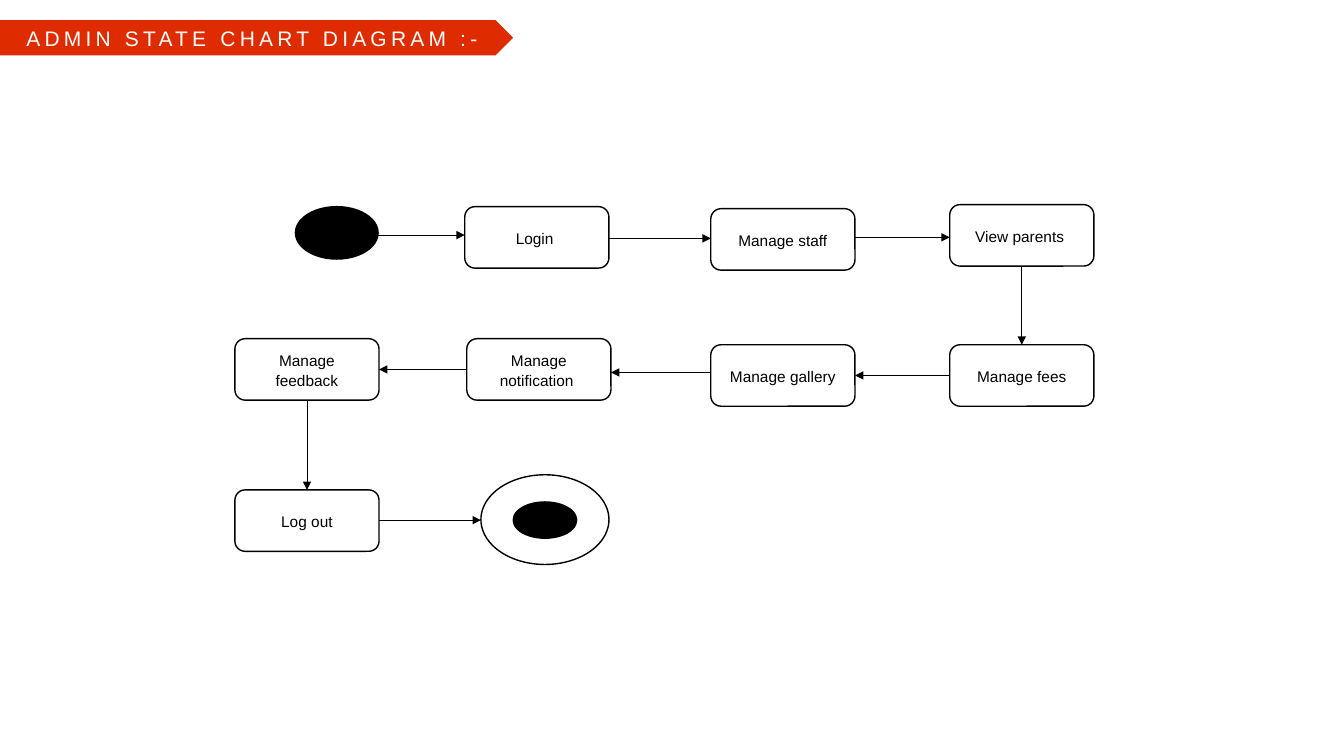
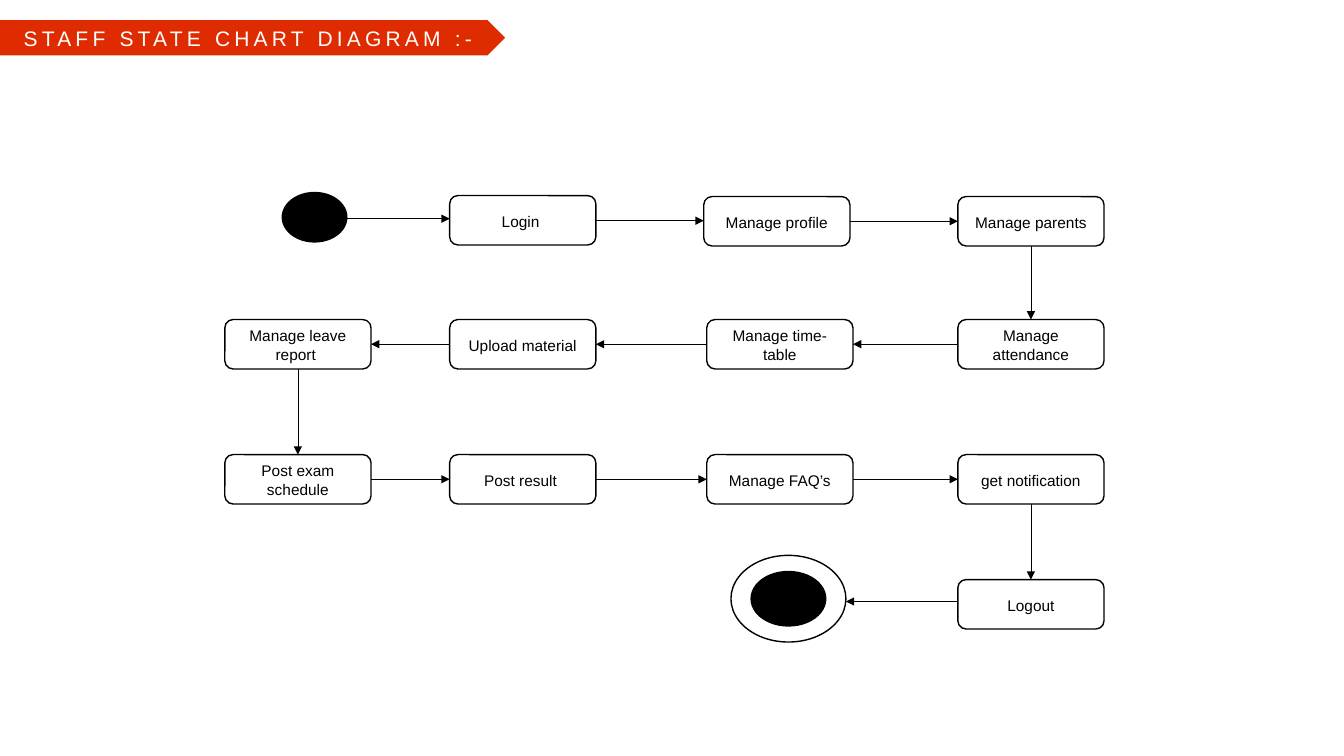
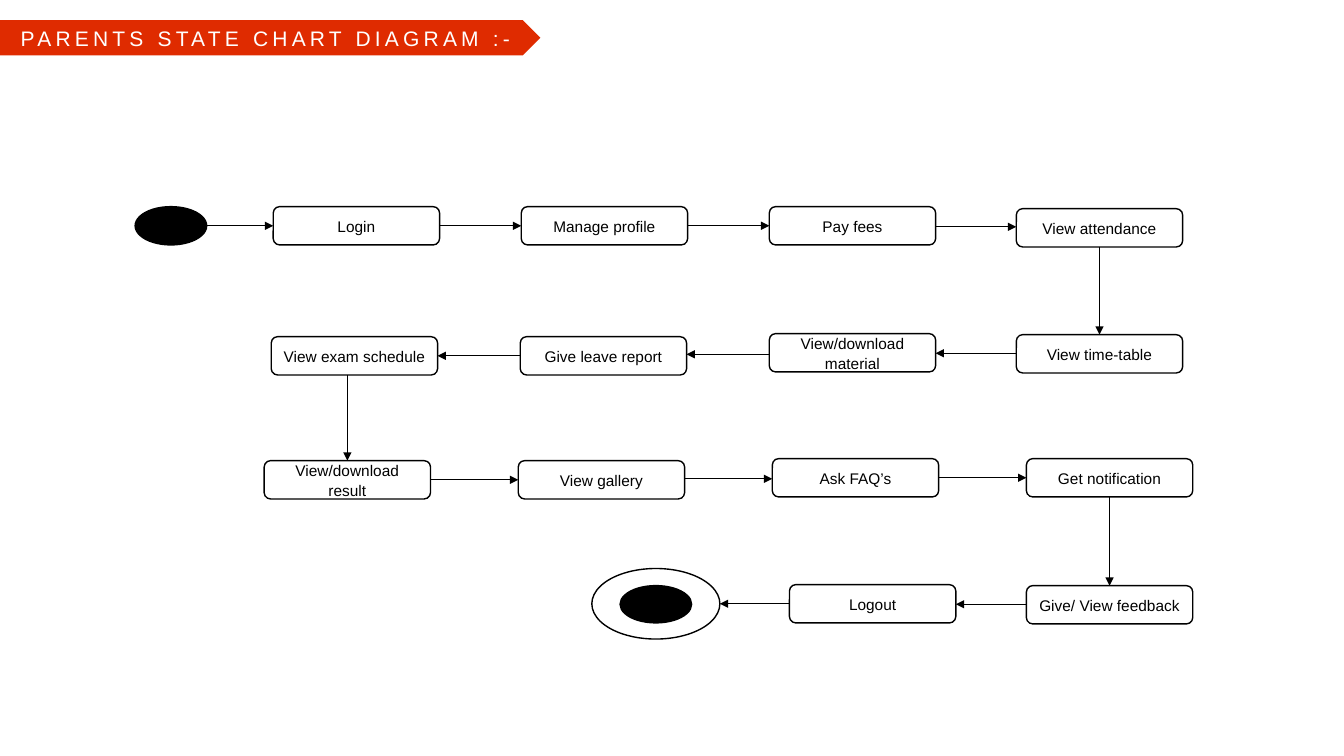
from lxml import etree
from pptx import Presentation
from pptx.dml.color import RGBColor
from pptx.enum import shapes, text
from pptx.oxml import ns
from pptx.util import Inches, Pt

BLACK = RGBColor(0x00, 0x00, 0x00)
WHITE = RGBColor(0xFF, 0xFF, 0xFF)
RED = RGBColor(0xDF, 0x2B, 0x00)
FONT = "Arial"
ROW_TOLERANCE = 0.3

DIAGRAMS = [
    {
        "title": "ADMIN STATE CHART DIAGRAM :-",
        "banner_width": 5.09,
        "state_size": (1.43, 0.61),
        "start": (2.93, 2.05, 0.82, 0.52),
        "states": [
            ("Login ", 4.61, 2.05),
            ("Manage staff", 7.05, 2.07),
            ("View parents ", 9.42, 2.03),
            ("Manage fees", 9.42, 3.42),
            ("Manage gallery", 7.05, 3.42),
            ("Manage notification ", 4.63, 3.36),
            ("Manage feedback", 2.33, 3.36),
            ("Log out", 2.33, 4.86),
        ],
        "end_ring": (4.77, 4.71, 1.27, 0.89),
        "end_dot": (5.09, 4.98, 0.63, 0.36),
    },
    {
        "title": "STAFF STATE CHART DIAGRAM :-",
        "banner_width": 5.01,
        "state_size": (1.45, 0.49),
        "start": (2.8, 1.91, 0.64, 0.49),
        "states": [
            ("Login ", 4.46, 1.94),
            ("Manage profile", 6.98, 1.95),
            ("Manage parents", 9.5, 1.95),
            ("Manage attendance", 9.5, 3.17),
            ("Manage time-table", 7.01, 3.17),
            ("Upload material", 4.46, 3.17),
            ("Manage leave report ", 2.23, 3.17),
            ("Post exam schedule", 2.23, 4.51),
            ("Post result ", 4.46, 4.51),
            ("Manage FAQ’s", 7.01, 4.51),
            ("get notification", 9.5, 4.51),
            ("Logout", 9.5, 5.75),
        ],
        "end_ring": (7.25, 5.51, 1.14, 0.86),
        "end_dot": (7.45, 5.67, 0.74, 0.54),
    },
    {
        "title": "PARENTS STATE CHART DIAGRAM :-",
        "banner_width": 5.36,
        "state_size": (1.65, 0.38),
        "start": (1.34, 2.05, 0.71, 0.38),
        "states": [
            ("Login", 2.71, 2.05),
            ("Manage profile", 5.17, 2.05),
            ("Pay fees", 7.63, 2.05),
            ("View attendance", 10.08, 2.07),
            ("View time-table", 10.08, 3.32),
            ("View/download material", 7.63, 3.31),
            ("Give leave report", 5.16, 3.34),
            ("View exam schedule", 2.69, 3.34),
            ("View/download result", 2.62, 4.57),
            ("View gallery", 5.14, 4.57),
            ("Ask FAQ’s", 7.66, 4.55),
            ("Get notification", 10.18, 4.55),
            ("Give/ View feedback", 10.18, 5.81),
            ("Logout", 7.83, 5.8),
        ],
        "end_ring": (5.87, 5.64, 1.27, 0.7),
        "end_dot": (6.15, 5.81, 0.71, 0.37),
    },
]


def add_block(page, kind, bounds, fill, line=BLACK):
    block = page.shapes.add_shape(kind, *map(Inches, bounds))
    block.shadow.inherit = False
    block.fill.solid()
    block.fill.fore_color.rgb = fill
    if line is None:
        block.line.fill.background()
    else:
        block.line.color.rgb = line
        block.line.width = Pt(1)
    return block


def write(block, words, size=11, color=BLACK, tracking=0, spacing=1.07):
    frame = block.text_frame
    frame.word_wrap = True
    frame.vertical_anchor = text.MSO_ANCHOR.MIDDLE
    para = frame.paragraphs[0]
    para.alignment = text.PP_ALIGN.CENTER
    para.line_spacing = spacing
    span = para.add_run()
    span.text = words
    span.font.name = FONT
    span.font.size = Pt(size)
    span.font.color.rgb = color
    if tracking:
        span.font._element.set("spc", str(tracking * 100))


def arrow_ends(source, target):
    left, top, width, height = source
    to_left, to_top, to_width, to_height = target
    middle, to_middle = top + height / 2, to_top + to_height / 2
    if abs(middle - to_middle) > ROW_TOLERANCE:
        x = to_left + to_width / 2
        return x, top + height, x, to_top
    y = (middle + to_middle) / 2
    if to_left > left:
        return left + width, y, to_left, y
    return left, y, to_left + to_width, y


def add_arrow(page, source, target):
    arrow = page.shapes.add_connector(
        shapes.MSO_CONNECTOR.STRAIGHT, *map(Inches, arrow_ends(source, target)))
    arrow.line.color.rgb = BLACK
    arrow.line.width = Pt(0.5)
    outline = arrow.line._get_or_add_ln()
    etree.SubElement(outline, ns.qn("a:tailEnd"), type="triangle")
    etree.SubElement(arrow._element.spPr, ns.qn("a:effectLst"))


def add_diagram(deck, diagram):
    page = deck.slides.add_slide(deck.slide_layouts[6])
    kinds = shapes.MSO_SHAPE
    banner = add_block(page, kinds.PENTAGON, (0, 0.2, diagram["banner_width"], 0.35),
                       RED, line=None)
    write(banner, diagram["title"], size=15, color=WHITE, tracking=3, spacing=1)

    add_block(page, kinds.OVAL, diagram["start"], BLACK)
    stops = [diagram["start"]]
    for words, left, top in diagram["states"]:
        bounds = (left, top, *diagram["state_size"])
        write(add_block(page, kinds.ROUNDED_RECTANGLE, bounds, WHITE), words)
        stops.append(bounds)
    add_block(page, kinds.OVAL, diagram["end_ring"], WHITE)
    add_block(page, kinds.OVAL, diagram["end_dot"], BLACK)
    stops.append(diagram["end_ring"])

    for source, target in zip(stops, stops[1:]):
        add_arrow(page, source, target)


def main():
    deck = Presentation()
    deck.slide_width = Inches(13.33)
    deck.slide_height = Inches(7.5)
    for diagram in DIAGRAMS:
        add_diagram(deck, diagram)
    deck.save("out.pptx")


if __name__ == "__main__":
    main()
